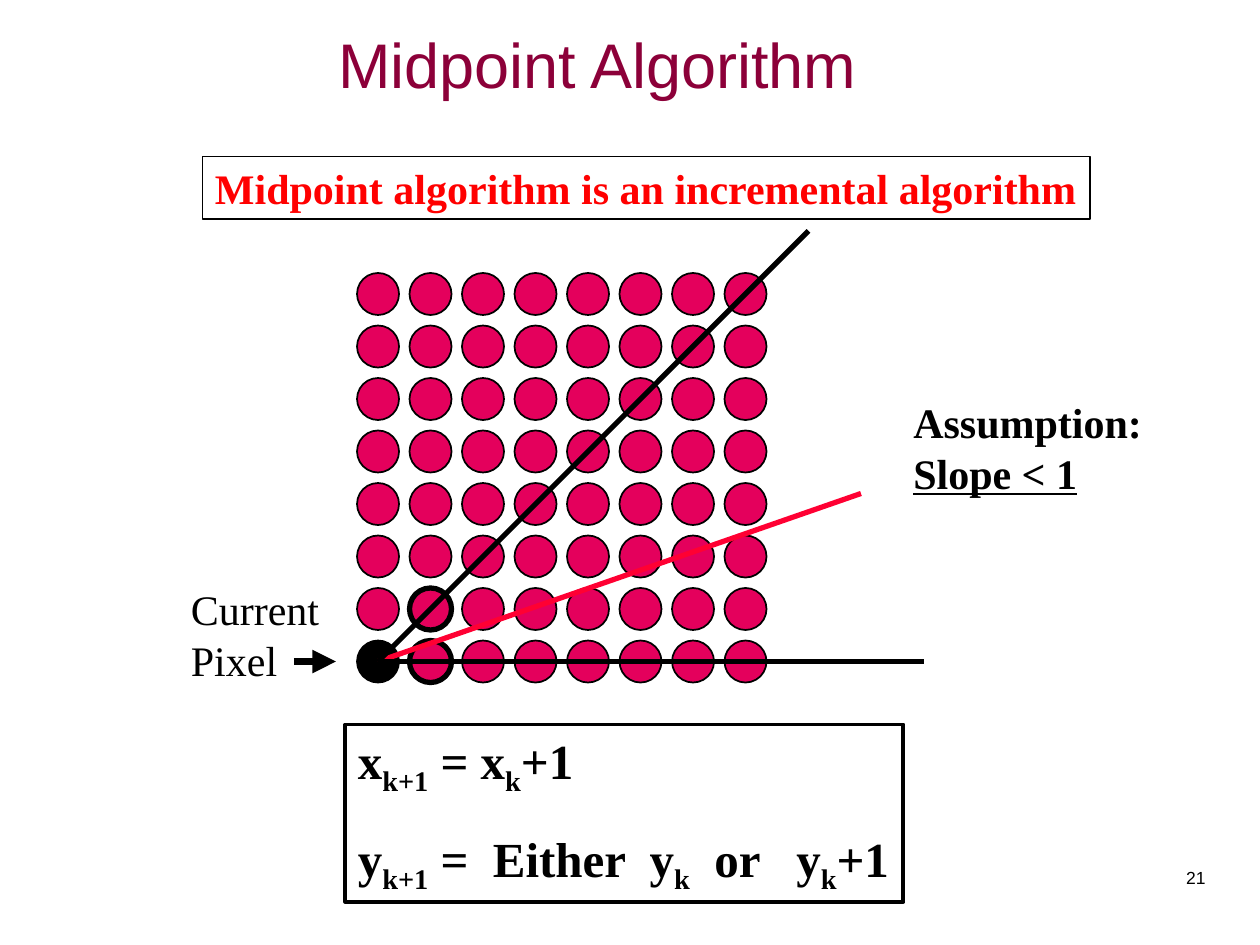
from dataclasses import dataclass
from itertools import product

from lxml.etree import SubElement
from pptx import Presentation
from pptx.dml.color import RGBColor
from pptx.enum.shapes import MSO_CONNECTOR, MSO_SHAPE
from pptx.enum.text import MSO_ANCHOR, MSO_AUTO_SIZE, PP_ALIGN
from pptx.oxml.ns import qn
from pptx.util import Inches, Pt

WIDTH, HEIGHT = Inches(10), Inches(7.5)
COLUMNS, ROWS = 24, 18


@dataclass(frozen=True)
class Theme:
    """Colours, fonts and type sizes of the slide."""
    ink: str = "000000"
    heading: str = "8C0039"
    alert: str = "FF0000"
    pixel: str = "E4005C"
    ideal_line: str = "FF0033"
    sans: str = "Arial"
    serif: str = "Times New Roman"
    title_size: int = 36
    formula_size: int = 28
    body_size: int = 24
    number_size: int = 10


THEME = Theme()


def across(columns):
    """Turn grid columns into a length."""
    return round(columns * WIDTH / COLUMNS)


def down(rows):
    """Turn grid rows into a length."""
    return round(rows * HEIGHT / ROWS)


def place(box):
    """Turn a grid box (left, top, width, height) into lengths."""
    left, top, width, height = box
    return across(left), down(top), across(width), down(height)


def style_run(run, size, color, font, bold=False, underline=False, subscript=False):
    """Format one run of text."""
    run.font.size = Pt(size)
    run.font.name = font
    run.font.bold = bold
    run.font.underline = underline
    run.font.color.rgb = RGBColor.from_string(color)
    if subscript:
        run._r.get_or_add_rPr().set("baseline", "-25000")


def write(shape, paragraphs, size=THEME.body_size, color=THEME.ink, font=THEME.serif,
          bold=False, underlined=(), gap=0, align=PP_ALIGN.LEFT,
          anchor=MSO_ANCHOR.TOP, wrap=False):
    """Write paragraphs whose segments alternate between normal and subscript."""
    frame = shape.text_frame
    frame.word_wrap = wrap
    frame.auto_size = MSO_AUTO_SIZE.NONE if wrap else MSO_AUTO_SIZE.SHAPE_TO_FIT_TEXT
    frame.vertical_anchor = anchor
    for index, segments in enumerate(paragraphs):
        paragraph = frame.add_paragraph() if index else frame.paragraphs[0]
        paragraph.alignment = align
        paragraph.space_before = Pt(gap if index else 0)
        for position, text in enumerate(segments):
            run = paragraph.add_run()
            run.text = text
            style_run(run, size, color, font, bold, index in underlined, position % 2 == 1)


def add_outlined(shapes, kind, box, fill=None, line_width=1):
    """Add a preset shape with an ink outline."""
    shape = shapes.add_shape(kind, *place(box))
    shape.shadow.inherit = False
    if fill:
        shape.fill.solid()
        shape.fill.fore_color.rgb = RGBColor.from_string(fill)
    else:
        shape.fill.background()
    shape.line.color.rgb = RGBColor.from_string(THEME.ink)
    shape.line.width = Pt(line_width)
    return shape


def add_line(shapes, start, end, color=THEME.ink, width=3, arrow=False):
    """Draw a straight line between two grid points."""
    line = shapes.add_connector(MSO_CONNECTOR.STRAIGHT, across(start[0]), down(start[1]),
                                across(end[0]), down(end[1]))
    line.line.color.rgb = RGBColor.from_string(color)
    line.line.width = Pt(width)
    if arrow:
        SubElement(line.line._get_or_add_ln(), qn("a:tailEnd"), type="triangle")
    SubElement(line._element.spPr, qn("a:effectLst"))


def add_title(slide, box):
    """Place and fill the title placeholder."""
    title = slide.shapes.title
    title.left, title.top, title.width, title.height = place(box)
    write(title, [["Midpoint Algorithm"]], size=THEME.title_size, color=THEME.heading,
          font=THEME.sans, anchor=MSO_ANCHOR.MIDDLE, wrap=True)


def add_banner(slide, box):
    """Add the framed key statement."""
    banner = add_outlined(slide.shapes, MSO_SHAPE.RECTANGLE, box)
    write(banner, [["Midpoint algorithm is an incremental algorithm"]],
          color=THEME.alert, bold=True)


def add_formulas(slide, box):
    """Add the framed update rules."""
    frame = add_outlined(slide.shapes, MSO_SHAPE.RECTANGLE, box, line_width=2.25)
    write(frame, [["x", "k+1", " = x", "k", "+1"],
                  ["y", "k+1", " =  Either  y", "k", "  or   y", "k", "+1"]],
          size=THEME.formula_size, bold=True, gap=17.5)


def add_pixel_diagram(slide, box, count=8, diameter=0.8):
    """Add the pixel grid with its lines and labels."""
    shapes = slide.shapes.add_group_shape().shapes
    left, top, width, height = box
    step_x, step_y = width / count, height / count
    current = (0, count - 1)
    candidates = {(1, count - 1), (1, count - 2)}
    for row, column in product(range(count), repeat=2):
        cell = (column, row)
        add_outlined(shapes, MSO_SHAPE.OVAL,
                     (left + column * step_x, top + row * step_y, diameter, diameter),
                     fill=THEME.ink if cell == current else THEME.pixel,
                     line_width=3 if cell in candidates else 1)

    x = left + diameter / 2
    y = top + (count - 1) * step_y + diameter / 2
    add_line(shapes, (x, y), (x + 9.2, y - 3.2), color=THEME.ideal_line)
    add_line(shapes, (x, y), (x + 8.2, y - 8.2))
    add_line(shapes, (x, y), (x + 10.4, y))
    add_line(shapes, (x - 1.6, y), (x - 0.8, y), width=4.5, arrow=True)

    assumption = shapes.add_textbox(*place((x + 9.96, y - 5.16, 5, 2.16)))
    write(assumption, [["Assumption:"], ["Slope < 1"]], bold=True, underlined={1})
    label = shapes.add_textbox(*place((x - 3.8, y - 1.6, 3, 2.16)))
    write(label, [["Current"], ["Pixel"]])


def add_page_number(slide, box):
    """Add the page number."""
    write(slide.shapes.add_textbox(*place(box)), [["21"]], size=THEME.number_size,
          font=THEME.sans, align=PP_ALIGN.RIGHT, wrap=True)


def main():
    """Build and save the slide."""
    presentation = Presentation()
    presentation.slide_width, presentation.slide_height = WIDTH, HEIGHT
    slide = presentation.slides.add_slide(presentation.slide_layouts.get_by_name("Title Only"))
    add_formulas(slide, (6.58, 13.8, 10.63, 3.38))
    add_banner(slide, (3.86, 2.98, 16.9, 1.2))
    add_title(slide, (6.2, -0.4, 16.8, 3.2))
    add_pixel_diagram(slide, (6.8, 5.2, 8, 8))
    add_page_number(slide, (18.2, 16.4, 5, 1.2))
    presentation.save("out.pptx")


if __name__ == "__main__":
    main()
